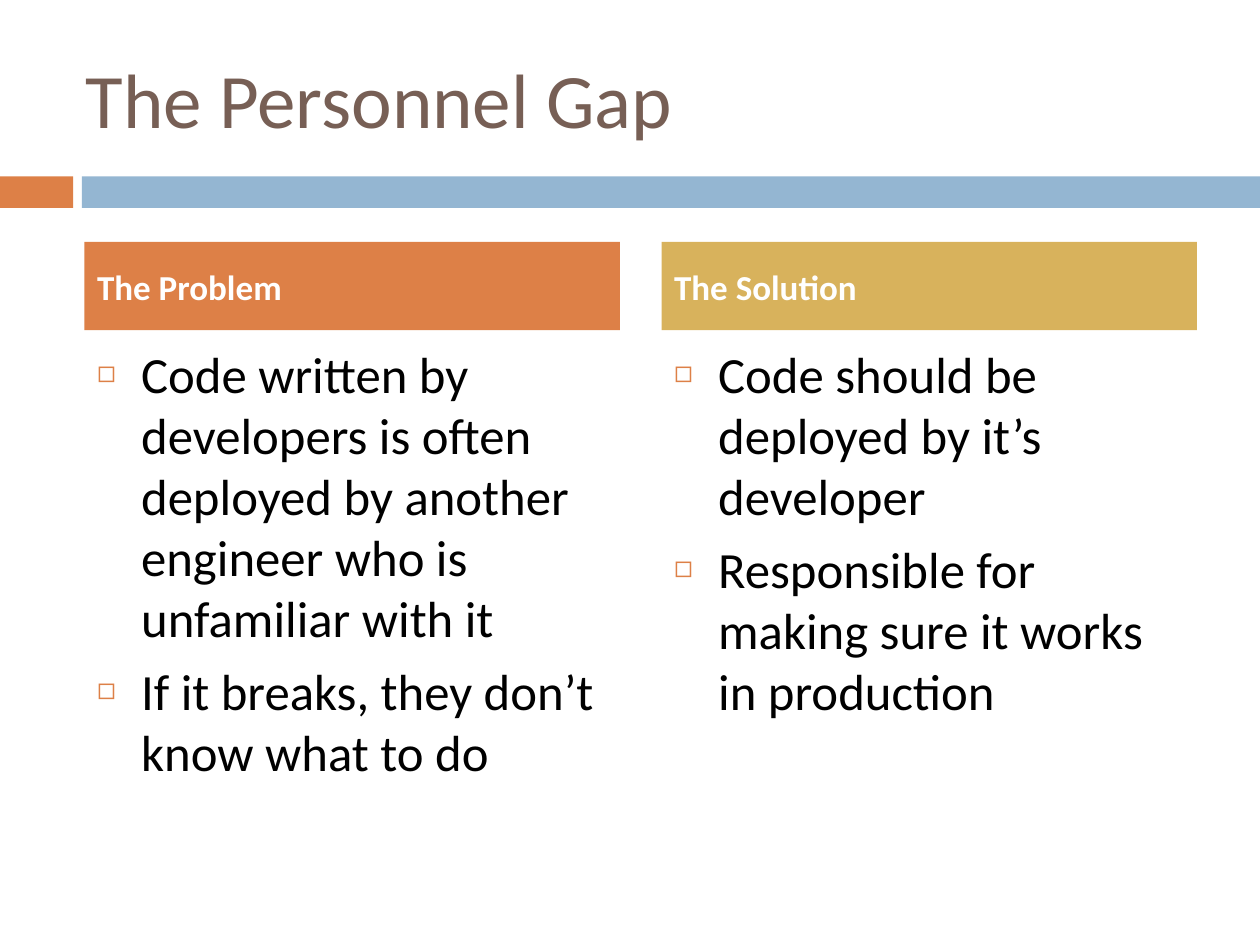
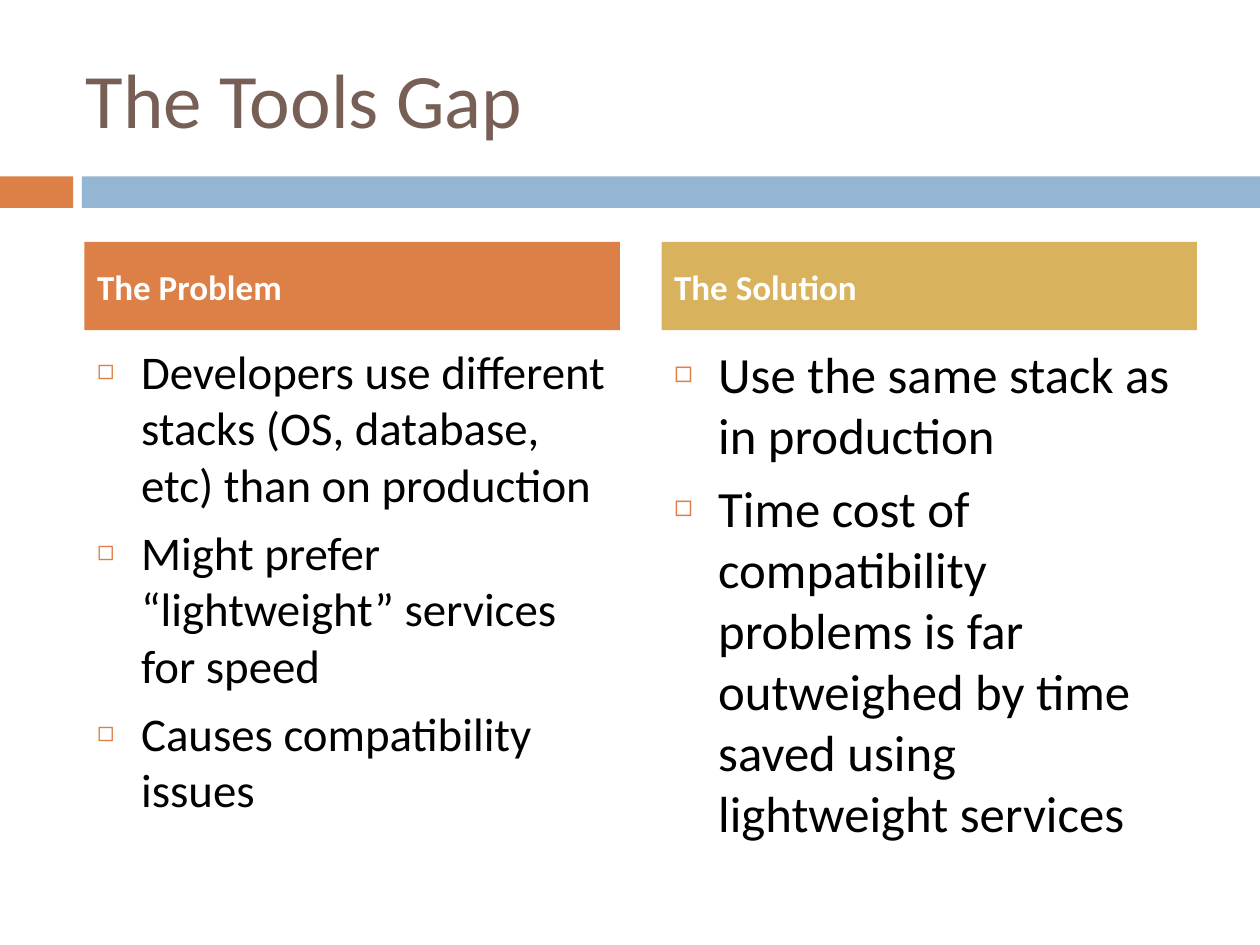
import pptx
import pptx.util
import pptx.dml.color
import pptx.enum.shapes
import pptx.enum.text
import lxml.etree

FONT = "Calibri"
ORANGE, BLUE, GOLD = "DD8047", "94B6D2", "D8B25C"
BROWN, BLACK, WHITE = "775F55", "000000", "FFFFFF"
COMPARISON_LAYOUT = 4
COLUMN_WIDTH = 4.25
COLUMN_LEFTS = (0.67, 5.25)
COLUMN_HEADINGS = (("The Problem", ORANGE), ("The Solution", GOLD))
BANDS = ((0, 0.58, ORANGE), (0.65, 9.35, BLUE))

SLIDES = (
    ("The Personnel Gap", (
        (29, ("Code written by developers is often deployed by another engineer who is unfamiliar with it",
              "If it breaks, they don’t know what to do")),
        (29, ("Code should be deployed by it’s developer",
              "Responsible for making sure it works in production")),
    )),
    ("The Tools Gap", (
        (26.8, ("Developers use different stacks (OS, database, etc) than on production",
                "Might prefer “lightweight” services for speed",
                "Causes compatibility issues")),
        (29, ("Use the same stack as in production",
              "Time cost of compatibility problems is far outweighed by time saved using lightweight services")),
    )),
)


def color(hex_code):
    return pptx.dml.color.RGBColor.from_string(hex_code)


def paint(shape, hex_code):
    shape.fill.solid()
    shape.fill.fore_color.rgb = color(hex_code)
    shape.line.fill.background()


def place(shape, left, top, width, height):
    shape.left, shape.top, shape.width, shape.height = (
        pptx.util.Inches(length) for length in (left, top, width, height))


def write(shape, lines, size, hex_code, anchor, bold=False, space_before=0):
    frame = shape.text_frame
    frame.text = "\n".join(lines)
    frame.word_wrap = True
    frame.auto_size = pptx.enum.text.MSO_AUTO_SIZE.NONE
    frame.vertical_anchor = anchor
    for para in frame.paragraphs:
        para.alignment = pptx.enum.text.PP_ALIGN.LEFT
        para.space_before = pptx.util.Pt(space_before)
        para.font.name = FONT
        para.font.size = pptx.util.Pt(size)
        para.font.bold = bold
        para.font.color.rgb = color(hex_code)


def add_bullet(para):
    indent = pptx.util.Inches(0.35)
    properties = para._p.get_or_add_pPr()
    properties.set("marL", str(indent))
    properties.set("indent", str(-indent))
    namespace = properties.nsmap["a"]
    position = 1
    for tag, value in (("buClr", None), ("buSzPct", "60000"), ("buChar", "◻")):
        mark = lxml.etree.Element(f"{{{namespace}}}{tag}")
        if tag == "buClr":
            lxml.etree.SubElement(mark, f"{{{namespace}}}srgbClr", val=ORANGE)
        else:
            mark.set("char" if tag == "buChar" else "val", value)
        properties.insert(position, mark)
        position += 1


def add_bands(page):
    for left, width, hex_code in BANDS:
        band = page.shapes.add_shape(pptx.enum.shapes.MSO_SHAPE.RECTANGLE, 0, 0, 0, 0)
        place(band, left, 1.4, width, 0.25)
        band.shadow.inherit = False
        paint(band, hex_code)


def fill_title(page, text):
    title = page.shapes.title
    place(title, 0.58, 0.3, 8.92, 0.95)
    write(title, [text], 44, BROWN, pptx.enum.text.MSO_ANCHOR.MIDDLE)


def fill_heading(heading, left, text, hex_code):
    place(heading, left, 1.92, COLUMN_WIDTH, 0.7)
    paint(heading, hex_code)
    write(heading, [text], 20, WHITE, pptx.enum.text.MSO_ANCHOR.MIDDLE, bold=True, space_before=7)


def fill_list(body, left, size, lines):
    place(body, left, 2.67, COLUMN_WIDTH, 3.92)
    write(body, lines, size, BLACK, pptx.enum.text.MSO_ANCHOR.TOP, space_before=7)
    for para in body.text_frame.paragraphs:
        add_bullet(para)


def add_comparison(deck, title, columns):
    page = deck.slides.add_slide(deck.slide_layouts[COMPARISON_LAYOUT])
    add_bands(page)
    fill_title(page, title)
    boxes = list(page.placeholders)[1:]
    for heading, body, left, (text, hex_code), (size, lines) in zip(
            boxes[::2], boxes[1::2], COLUMN_LEFTS, COLUMN_HEADINGS, columns):
        fill_heading(heading, left, text, hex_code)
        fill_list(body, left, size, lines)


def main():
    deck = pptx.Presentation()
    deck.slide_width = pptx.util.Inches(10)
    deck.slide_height = pptx.util.Inches(7.5)
    for title, columns in SLIDES:
        add_comparison(deck, title, columns)
    deck.save("out.pptx")


if __name__ == "__main__":
    main()
